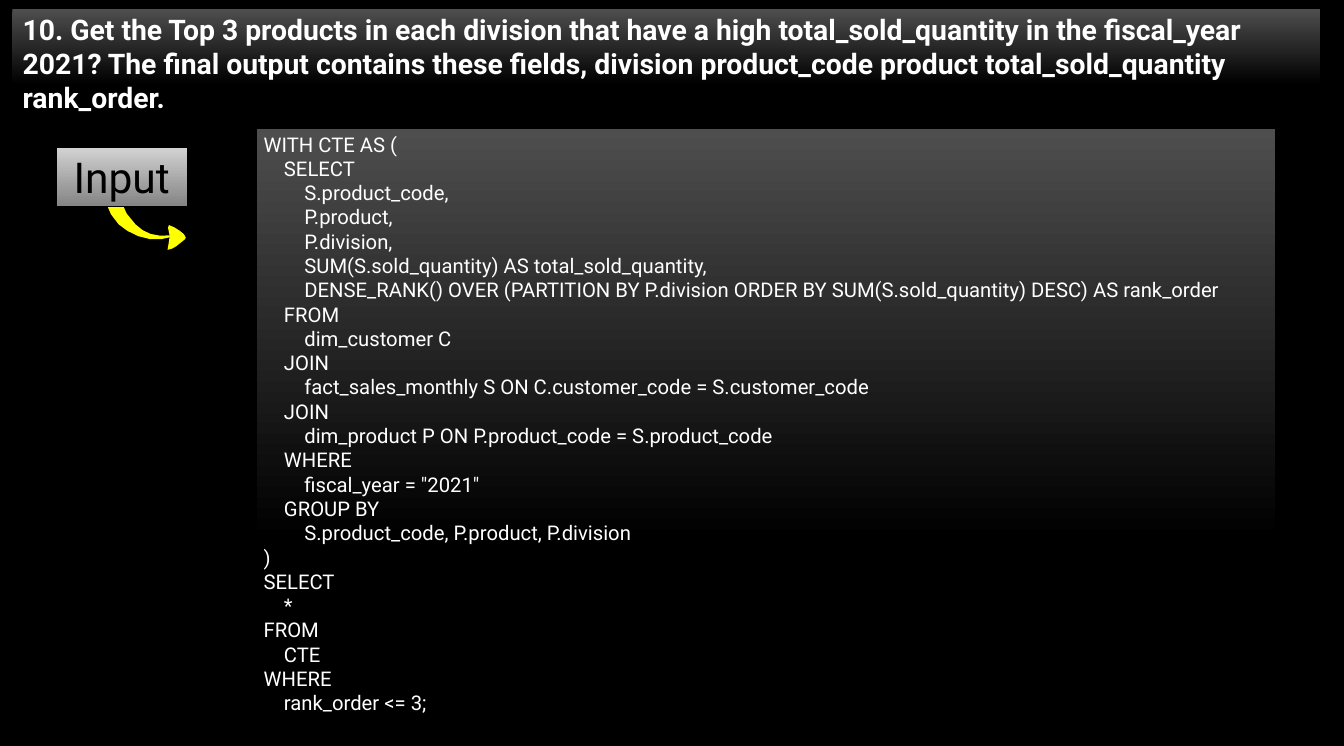
from dataclasses import dataclass

from pptx import Presentation
from pptx.dml.color import RGBColor
from pptx.enum.shapes import MSO_SHAPE
from pptx.enum.text import MSO_ANCHOR, MSO_AUTO_SIZE, PP_ALIGN
from pptx.shapes.autoshape import Shape
from pptx.slide import Slide
from pptx.util import Emu, Pt

EMU_PER_PX = 9144  # 100 px to the inch
INDENT = 28
FONT = "Roboto"
BLACK, WHITE, YELLOW = "000000", "FFFFFF", "FFFF00"

Point = tuple[int, int]
Curve = tuple[Point, Point, Point]  # two control points and an end point


@dataclass(frozen=True)
class Line:
    text: str
    left: int = 0


@dataclass(frozen=True)
class Panel:
    left: int
    top: int
    width: int
    height: int
    top_colour: str
    bottom_colour: str
    fade_end: float
    outlined: bool
    lines: list[Line]
    size: int
    colour: str = WHITE
    bold: bool = False
    align: PP_ALIGN = PP_ALIGN.LEFT


@dataclass(frozen=True)
class Outline:
    start: Point
    curves: list[Curve]
    steps: int  # straight pieces per curve


TITLE = Panel(
    17, 12, 1795, 151, "4E4E4E", BLACK, 0.69, False,
    [Line("10. Get the Top 3 products in each division that have a high "
          "total_sold_quantity in the fiscal_year 2021? The final output contains "
          "these fields, division product_code product total_sold_quantity "
          "rank_order.", 4)],
    28, bold=True,
)

# Query lines with their nesting depth
QUERY = [
    (0, "WITH CTE AS ("),
    (1, "SELECT"),
    (2, "S.product_code,"),
    (2, "P.product,"),
    (2, "P.division,"),
    (2, "SUM(S.sold_quantity) AS total_sold_quantity,"),
    (2, "DENSE_RANK() OVER (PARTITION BY P.division ORDER BY "
        "SUM(S.sold_quantity) DESC) AS rank_order"),
    (1, "FROM"),
    (2, "dim_customer C"),
    (1, "JOIN"),
    (2, "fact_sales_monthly S ON C.customer_code = S.customer_code"),
    (1, "JOIN"),
    (2, "dim_product P ON P.product_code = S.product_code"),
    (1, "WHERE"),
    (2, 'fiscal_year = "2021"'),
    (1, "GROUP BY"),
    (2, "S.product_code, P.product, P.division"),
    (0, ")"),
    (0, "SELECT"),
    (1, "*"),
    (0, "FROM"),
    (1, "CTE"),
    (0, "WHERE"),
    (1, "rank_order <= 3;"),
]
CODE = Panel(352, 176, 1399, 818, "4E4E4E", BLACK, 0.69, True,
             [Line(text, depth * INDENT) for depth, text in QUERY], 20)
INPUT = Panel(77, 202, 180, 81, "D3D3D3", "848484", 1.0, True,
              [Line("Input")], 42, BLACK, align=PP_ALIGN.CENTER)

ARROW_TAIL = Outline((138, 249), [
    ((144, 288), (158, 308), (175, 317)),
    ((195, 329), (215, 332), (237, 325)),
    ((236, 323), (236, 323), (236, 323)),
    ((212, 326), (198, 320), (186, 308)),
    ((166, 288), (162, 270), (168, 245)),
], steps=4)
ARROW_HEAD = Outline((242, 338), [
    ((256, 329), (255, 326), (255, 326)),
    ((255, 323), (251, 320), (247, 317)),
    ((245, 316), (234, 308), (232, 309)),
    ((229, 310), (231, 312), (233, 324)),
    ((234, 334), (228, 341), (230, 343)),
    ((233, 344), (240, 339), (242, 338)),
], steps=2)


def px(length: float) -> Emu:
    return Emu(round(length * EMU_PER_PX))


def rgb(colour: str) -> RGBColor:
    return RGBColor.from_string(colour)


def write_lines(shape: Shape, panel: Panel) -> None:
    frame = shape.text_frame
    frame.word_wrap = True
    frame.auto_size = MSO_AUTO_SIZE.SHAPE_TO_FIT_TEXT
    frame.vertical_anchor = MSO_ANCHOR.TOP
    for index, line in enumerate(panel.lines):
        paragraph = frame.add_paragraph() if index else frame.paragraphs[0]
        paragraph.alignment = panel.align
        properties = paragraph._p.get_or_add_pPr()
        properties.set("marL", str(px(line.left)))
        properties.set("indent", "0")
        run = paragraph.add_run()
        run.text = line.text
        run.font.name = FONT
        run.font.size = Pt(panel.size)
        run.font.bold = panel.bold
        run.font.color.rgb = rgb(panel.colour)


def format_panel(shape: Shape, panel: Panel) -> None:
    shape.left, shape.top = px(panel.left), px(panel.top)
    shape.width, shape.height = px(panel.width), px(panel.height)
    shape.shadow.inherit = False
    shape.fill.gradient()
    shape.fill.gradient_angle = 270
    first, last = shape.fill.gradient_stops
    first.position, last.position = 0, panel.fade_end
    first.color.rgb = rgb(panel.top_colour)
    last.color.rgb = rgb(panel.bottom_colour)
    if panel.outlined:
        shape.line.color.rgb = rgb(BLACK)
        shape.line.width = Pt(1)
    else:
        shape.line.fill.background()
    write_lines(shape, panel)


def add_panel(slide: Slide, panel: Panel) -> None:
    shape = slide.shapes.add_shape(MSO_SHAPE.RECTANGLE, 0, 0, px(1), px(1))
    format_panel(shape, panel)


def add_outline(slide: Slide, outline: Outline) -> None:
    start, points = outline.start, []
    for first, second, end in outline.curves:
        # A curve whose controls sit on its end is a straight edge
        steps = 1 if first == second == end else outline.steps
        for step in range(1, steps + 1):
            t = step / steps
            weights = ((1 - t) ** 3, 3 * t * (1 - t) ** 2, 3 * t * t * (1 - t), t ** 3)
            corners = (start, first, second, end)
            points.append(tuple(
                px(sum(weight * corner[axis] for weight, corner in zip(weights, corners)))
                for axis in (0, 1)))
        start = end
    builder = slide.shapes.build_freeform(*map(px, outline.start))
    builder.add_line_segments(points, close=True)
    shape = builder.convert_to_shape()
    shape.shadow.inherit = False
    shape.fill.solid()
    shape.fill.fore_color.rgb = rgb(YELLOW)
    shape.line.fill.background()


def main() -> None:
    presentation = Presentation()
    presentation.slide_width, presentation.slide_height = px(1845), px(1024)
    slide = presentation.slides.add_slide(presentation.slide_layouts[5])
    slide.background.fill.solid()
    slide.background.fill.fore_color.rgb = rgb(BLACK)

    # Question and query
    format_panel(slide.shapes.title, TITLE)
    add_panel(slide, CODE)

    # Input label over the curved arrow
    add_outline(slide, ARROW_TAIL)
    add_panel(slide, INPUT)
    add_outline(slide, ARROW_HEAD)

    presentation.save("out.pptx")


if __name__ == "__main__":
    main()
